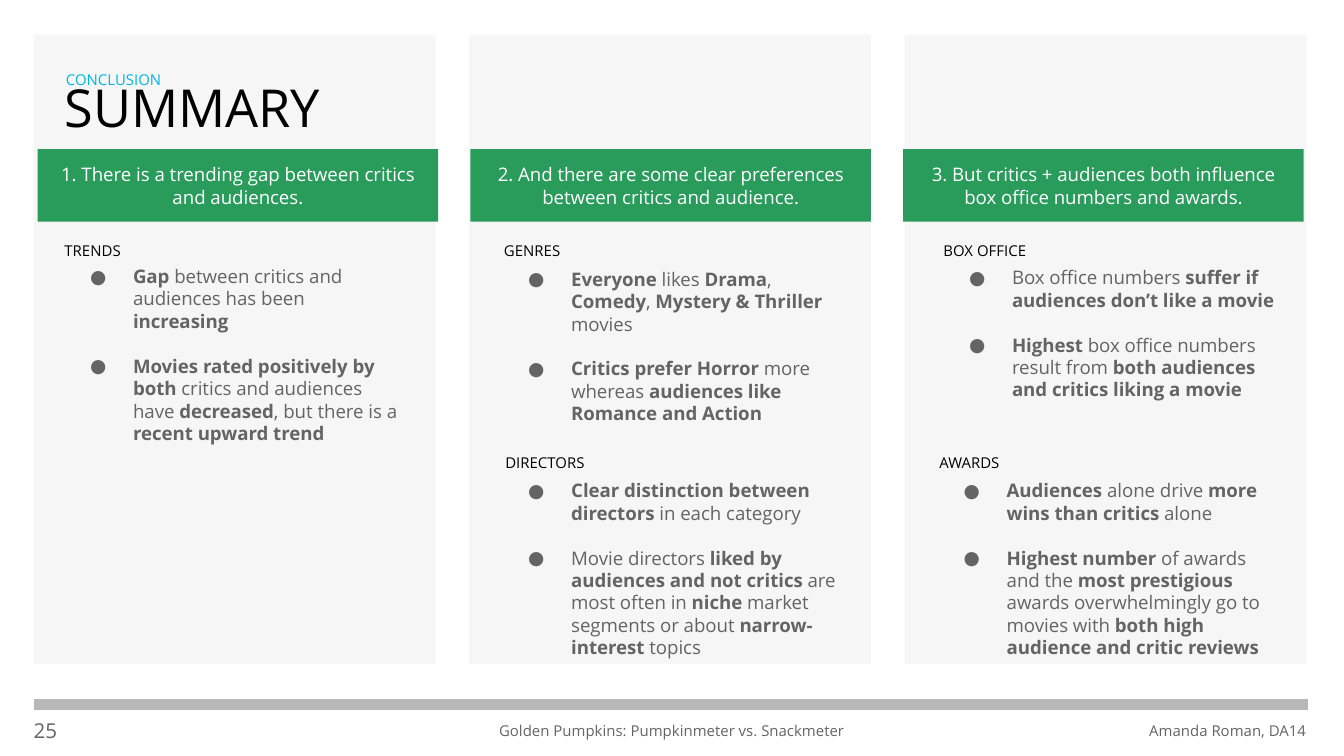
from lxml import etree
from pptx import Presentation
from pptx.dml.color import RGBColor
from pptx.enum import shapes, text
from pptx.oxml import ns
from pptx.util import Inches, Pt

FONT = "Open Sans"
GREY, BLACK, WHITE, CYAN = "646464", "000000", "FFFFFF", "01B6E1"
PANEL, GREEN, RULE = "F6F6F6", "299B5B", "B8B8B8"
LEFT, CENTER, RIGHT = text.PP_ALIGN.LEFT, text.PP_ALIGN.CENTER, text.PP_ALIGN.RIGHT
TOP, MIDDLE, BOTTOM = text.MSO_ANCHOR.TOP, text.MSO_ANCHOR.MIDDLE, text.MSO_ANCHOR.BOTTOM

BANNERS = [
    "1. There is a trending gap between critics and audiences.",
    "2. And there are some clear preferences between critics and audience.",
    "3. But critics + audiences both influence box office numbers and awards.",
]

LABELS = [
    ("CONCLUSION", (0.49, 0.47, 2.49, 0.19), 8, CYAN, LEFT, BOTTOM),
    ("SUMMARY", (0.48, 0.67, 2.49, 0.45), 28, BLACK, LEFT, TOP),
    ("25", (0.25, 5.34, 0.5, 0.19), 11, GREY, LEFT, TOP),
    ("Golden Pumpkins: Pumpkinmeter vs. Snackmeter", (3.59, 5.37, 2.82, 0.13), 8, GREY, CENTER, TOP),
    ("Amanda Roman, DA14", (7.5, 5.37, 2.22, 0.13), 8, GREY, RIGHT, TOP),
]

SECTIONS = [
    ("TRENDS", (0.48, 1.74), (0.49, 1.97, 2.5, 1.35), TOP, [
        "*Gap *between critics and audiences has been *increasing*",
        "*Movies rated positively by both* critics and audiences have *decreased*, "
        "but there is a *recent upward trend*",
    ]),
    ("GENRES", (3.75, 1.74), (3.75, 1.99, 2.5, 1.35), TOP, [
        "*Everyone *likes *Drama*, *Comedy*, *Mystery & Thriller* movies",
        "*Critics prefer Horror* more whereas *audiences like Romance and Action*",
    ]),
    ("DIRECTORS", (3.76, 3.32), (3.75, 3.55, 2.49, 1.35), BOTTOM, [
        "*Clear distinction between directors* in each category",
        "Movie directors *liked by audiences and not critics* are most often in *niche* "
        "market segments or about *narrow-interest* topics",
    ]),
    ("BOX OFFICE", (7.02, 1.74), (7.03, 1.98, 2.49, 1.01), TOP, [
        "Box office numbers *suffer if audiences don’t like a movie*",
        "*Highest *box office numbers result from *both audiences and critics liking a movie*",
    ]),
    ("AWARDS", (6.99, 3.32), (6.99, 3.55, 2.49, 1.35), BOTTOM, [
        "*Audiences *alone drive *more wins than critics *alone",
        "*Highest number* of awards and the *most prestigious* awards overwhelmingly go to "
        "movies with *both high audience and critic reviews*",
    ]),
]


def color(value):
    return RGBColor.from_string(value)


def style(font, size, tone):
    font.name, font.size = FONT, Pt(size)
    font.color.rgb = color(tone)


def set_frame(frame, inset, anchor):
    frame.word_wrap = True
    frame.vertical_anchor = anchor
    frame.margin_left = frame.margin_right = Inches(inset)
    frame.margin_top = frame.margin_bottom = Inches(inset)


def write(frame, words, size, tone, align):
    frame.text = words
    para = frame.paragraphs[0]
    para.alignment = align
    style(para.runs[0].font, size, tone)
    return para


def add_text_box(page, place, anchor):
    frame = page.shapes.add_textbox(*map(Inches, place)).text_frame
    set_frame(frame, 0, anchor)
    return frame


def add_rectangle(page, place, fill):
    box = page.shapes.add_shape(shapes.MSO_SHAPE.RECTANGLE, *map(Inches, place))
    box.shadow.inherit = False
    box.fill.solid()
    box.fill.fore_color.rgb = color(fill)
    box.line.fill.background()
    return box


def add_bullet(para):
    props = para._p.get_or_add_pPr()
    props.set("marL", str(Inches(0.5)))
    props.set("indent", str(Inches(-0.32)))
    tint = etree.SubElement(props, ns.qn("a:buClr"))
    etree.SubElement(tint, ns.qn("a:srgbClr"), val=GREY)
    etree.SubElement(props, ns.qn("a:buFont"), typeface=FONT)
    etree.SubElement(props, ns.qn("a:buChar"), char="●")


def add_bullets(page, place, anchor, items):
    frame = add_text_box(page, place, anchor)
    for i, item in enumerate(items):
        para = frame.add_paragraph() if i else frame.paragraphs[0]
        add_bullet(para)
        para.space_before = Pt(12 if i else 0)
        for k, part in enumerate(item.split("*")):
            if part:
                span = para.add_run()
                span.text = part
                style(span.font, 10, GREY)
                span.font.bold = k % 2 == 1


def main():
    deck = Presentation()
    deck.slide_width = Inches(10)
    deck.slide_height = deck.slide_width * 9 // 16
    page = deck.slides.add_slide(deck.slide_layouts[6])

    for i in range(3):
        add_rectangle(page, (0.25 + 3.24 * i, 0.26, 2.99, 4.68), PANEL)

    rule = page.shapes.add_connector(
        shapes.MSO_CONNECTOR.STRAIGHT, *map(Inches, (9.73, 5.24, 0.25, 5.24)))
    rule.line.color.rgb = color(RULE)
    rule.line.width = Pt(6)
    etree.SubElement(rule._element.spPr, ns.qn("a:effectLst"))

    for words, place, size, tone, align, anchor in LABELS:
        para = write(add_text_box(page, place, anchor), words, size, tone, align)
        if words == "SUMMARY":
            para.line_spacing = 0.75

    for heading, corner, place, anchor, items in SECTIONS:
        write(add_text_box(page, (*corner, 2.5, 0.19), BOTTOM), heading, 8, BLACK, LEFT)
        add_bullets(page, place, anchor, items)

    for i, words in enumerate(BANNERS):
        banner = add_rectangle(page, (0.28 + 3.22 * i, 1.11, 2.98, 0.54), GREEN)
        set_frame(banner.text_frame, 0.1, MIDDLE)
        write(banner.text_frame, words, 10, WHITE, CENTER)

    deck.save("out.pptx")


if __name__ == "__main__":
    main()
